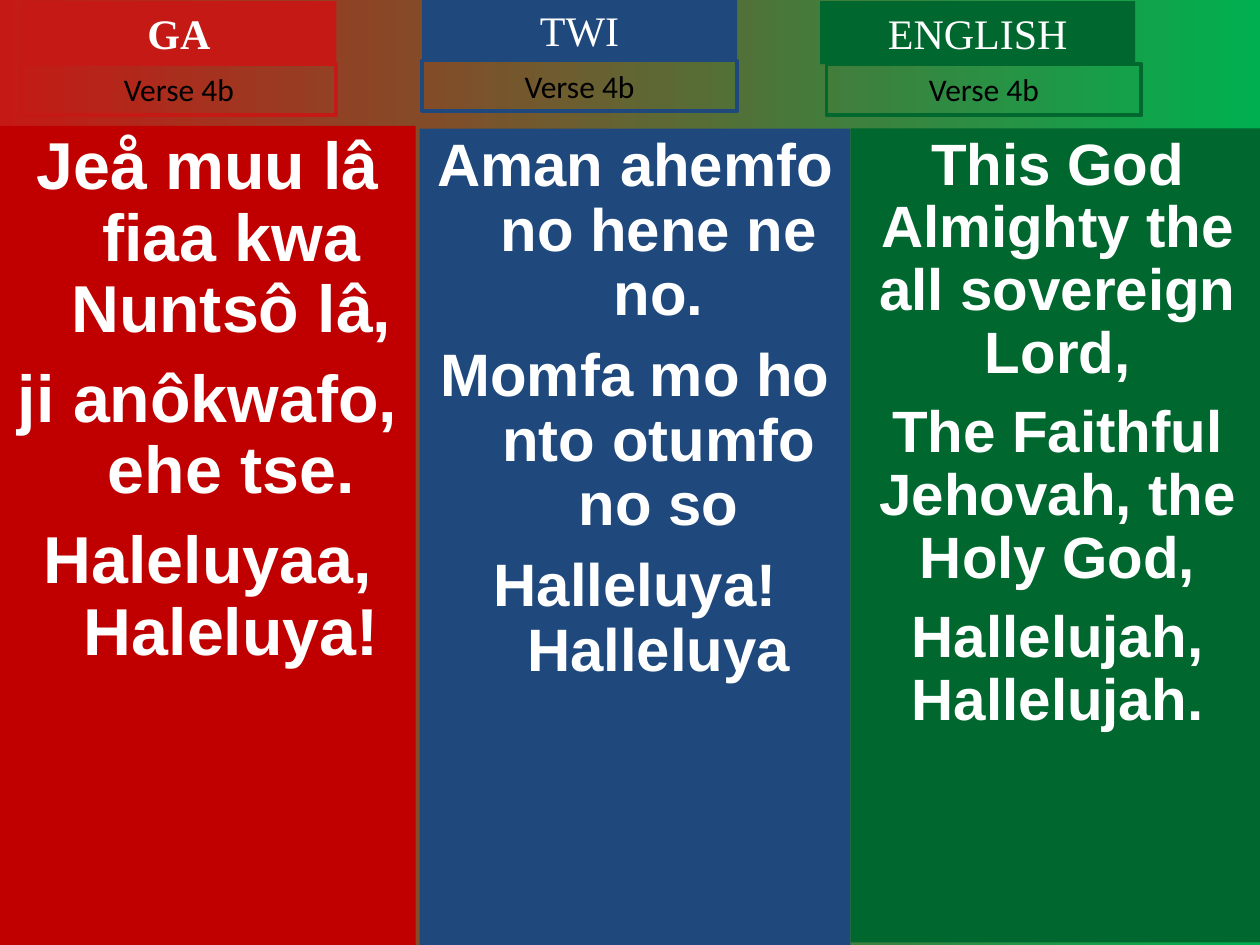
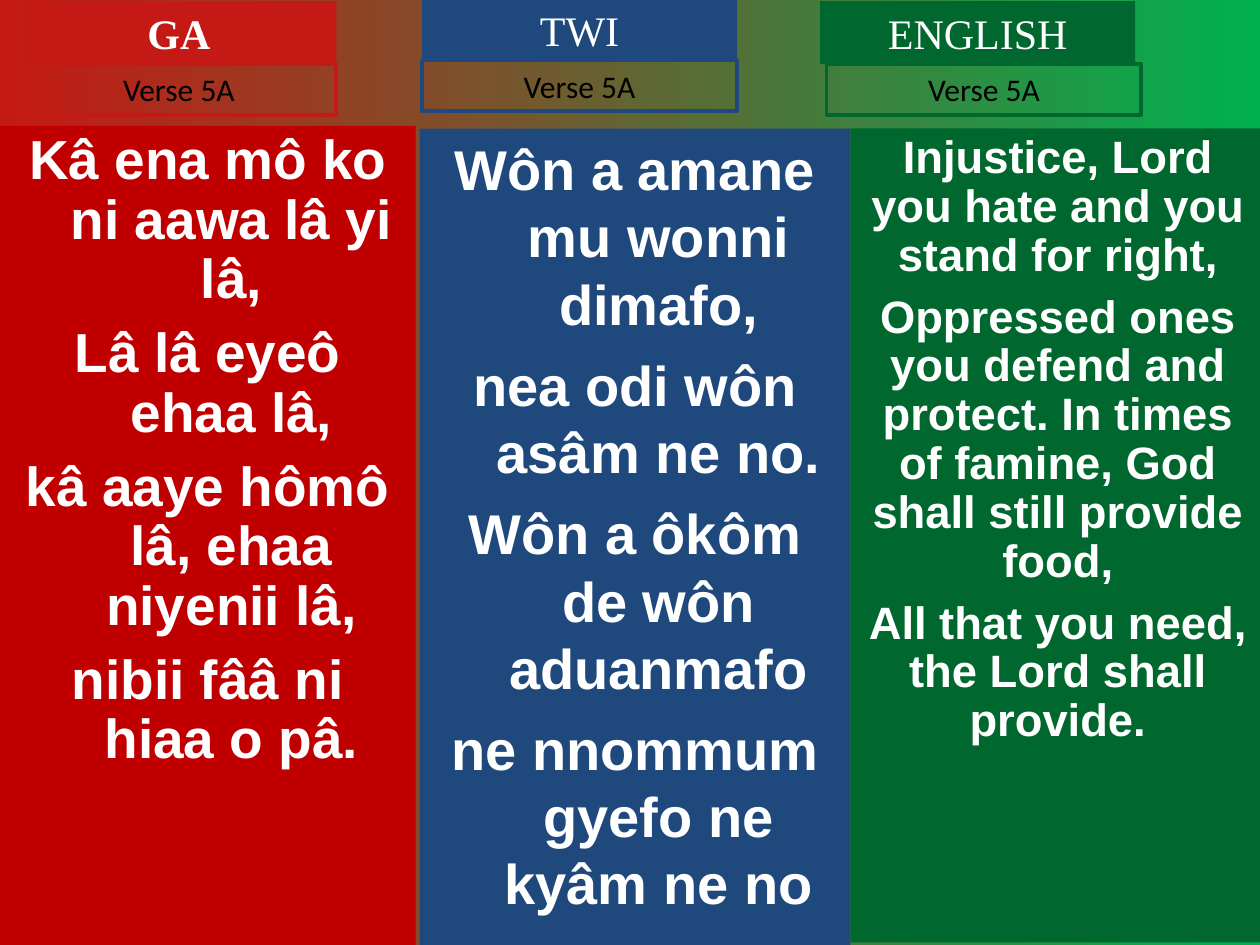
from dataclasses import dataclass

from pptx import Presentation
from pptx.dml.color import RGBColor
from pptx.enum.shapes import MSO_SHAPE
from pptx.enum.text import MSO_ANCHOR, PP_ALIGN
from pptx.util import Pt


@dataclass(frozen=True)
class Theme:
    white: str = "FFFFFF"
    black: str = "000000"
    red: str = "C51915"
    deep_red: str = "C00000"
    blue: str = "1F497D"
    green: str = "00682F"
    bright_green: str = "00B050"
    title_font: str = "Times New Roman"
    title_size: float = 24
    verse_font: str = "Calibri"
    verse_size: float = 18
    lyric_font: str = "Arial"
    outline: float = 2.25
    hanging: float = 27


THEME = Theme()


@dataclass(frozen=True)
class Language:
    name: str
    accent: str
    panel_fill: str
    panel: tuple
    title_at: tuple
    verse_at: tuple
    bold_title: bool = False
    hanging: bool = True


@dataclass(frozen=True)
class Lyrics:
    size: float
    gap: float
    lines: tuple
    spacing: float = 0.9


LANGUAGES = (
    Language("GA", THEME.red, THEME.deep_red, (0, 72, 237.6, 468),
             (12.24, 0.72), (12.24, 36.72), bold_title=True),
    Language("TWI", THEME.blue, THEME.blue, (239.76, 73.44, 246.24, 466.56),
             (241.2, -0.72), (241.2, 34.56)),
    Language("ENGLISH", THEME.green, THEME.green, (486, 73.44, 236.88, 465.12),
             (468.72, 0.72), (472.32, 36.72), hanging=False),
)

VERSES = {
    "Verse 4b": (
        Lyrics(37.9, 10.3, (
            "Jeå muu lâ fiaa kwa Nuntsô lâ,",
            "ji anôkwafo, ehe tse.",
            "Haleluyaa, Haleluya!")),
        Lyrics(34.2, 9.2, (
            "Aman ahemfo no hene ne no.",
            "Momfa mo ho nto otumfo no so",
            "Halleluya! Halleluya")),
        Lyrics(33.3, 9, (
            "This God Almighty the all sovereign Lord,",
            "The Faithful Jehovah, the Holy God,",
            "Hallelujah, Hallelujah.")),
    ),
    "Verse 5A": (
        Lyrics(31.4, 8.5, (
            "Kâ ena mô ko ni aawa lâ yi lâ,",
            "Lâ lâ eyeô ehaa lâ,",
            "kâ aaye hômô lâ, ehaa niyenii lâ,",
            "nibii fââ ni hiaa o pâ.")),
        Lyrics(32, 8, (
            "Wôn a amane mu wonni dimafo,",
            "nea odi wôn asâm ne no.",
            "Wôn a ôkôm de wôn aduanmafo",
            "ne nnommum gyefo ne kyâm ne no"), spacing=1),
        Lyrics(25.9, 7, (
            "Injustice, Lord you hate and you stand for right,",
            "Oppressed ones you defend and protect. In times of famine, "
            "God shall still provide food,",
            "All that you need, the Lord shall provide.")),
    ),
}


def color(value):
    return RGBColor.from_string(value)


def paint_background(page):
    fill = page.background.fill
    fill.gradient()
    fill.gradient_angle = 0
    for stop, value in zip(fill.gradient_stops, (THEME.red, THEME.bright_green)):
        stop.color.rgb = color(value)


def add_box(page, bounds, fill=None, line=None):
    box = page.shapes.add_shape(MSO_SHAPE.RECTANGLE, *(Pt(n) for n in bounds))
    box.shadow.inherit = False
    if fill:
        box.fill.solid()
        box.fill.fore_color.rgb = color(fill)
    else:
        box.fill.background()
    if line:
        box.line.color.rgb = color(line)
        box.line.width = Pt(THEME.outline)
    else:
        box.line.fill.background()
    box.text_frame.word_wrap = True
    box.text_frame.vertical_anchor = MSO_ANCHOR.TOP
    return box


def write(para, text, font, size, ink, bold=False):
    para.text = text
    para.alignment = PP_ALIGN.CENTER
    para.font.name = font
    para.font.size = Pt(size)
    para.font.bold = bold
    para.font.color.rgb = color(ink)


def hang(para):
    properties = para._p.get_or_add_pPr()
    properties.set("marL", str(Pt(THEME.hanging)))
    properties.set("indent", str(-Pt(THEME.hanging)))


def add_title(page, language):
    box = add_box(page, (*language.title_at, 180, 36), fill=language.accent)
    write(box.text_frame.paragraphs[0], language.name, THEME.title_font,
          THEME.title_size, THEME.white, language.bold_title)


def add_verse_label(page, language, verse):
    box = add_box(page, (*language.verse_at, 180, 29), line=language.accent)
    write(box.text_frame.paragraphs[0], verse, THEME.verse_font,
          THEME.verse_size, THEME.black)


def add_lyrics(page, language, lyrics):
    frame = add_box(page, language.panel, fill=language.panel_fill).text_frame
    for index, line in enumerate(lyrics.lines):
        para = frame.add_paragraph() if index else frame.paragraphs[0]
        if language.hanging:
            hang(para)
        para.line_spacing = float(lyrics.spacing)
        if index:
            para.space_before = Pt(lyrics.gap)
        write(para, line, THEME.lyric_font, lyrics.size, THEME.white, bold=True)


def main():
    deck = Presentation()
    deck.slide_width, deck.slide_height = Pt(720), Pt(540)
    for verse, columns in VERSES.items():
        page = deck.slides.add_slide(deck.slide_layouts[6])
        paint_background(page)
        for language, lyrics in zip(LANGUAGES, columns):
            add_lyrics(page, language, lyrics)
            add_title(page, language)
            add_verse_label(page, language, verse)
    deck.save("out.pptx")


if __name__ == "__main__":
    main()
